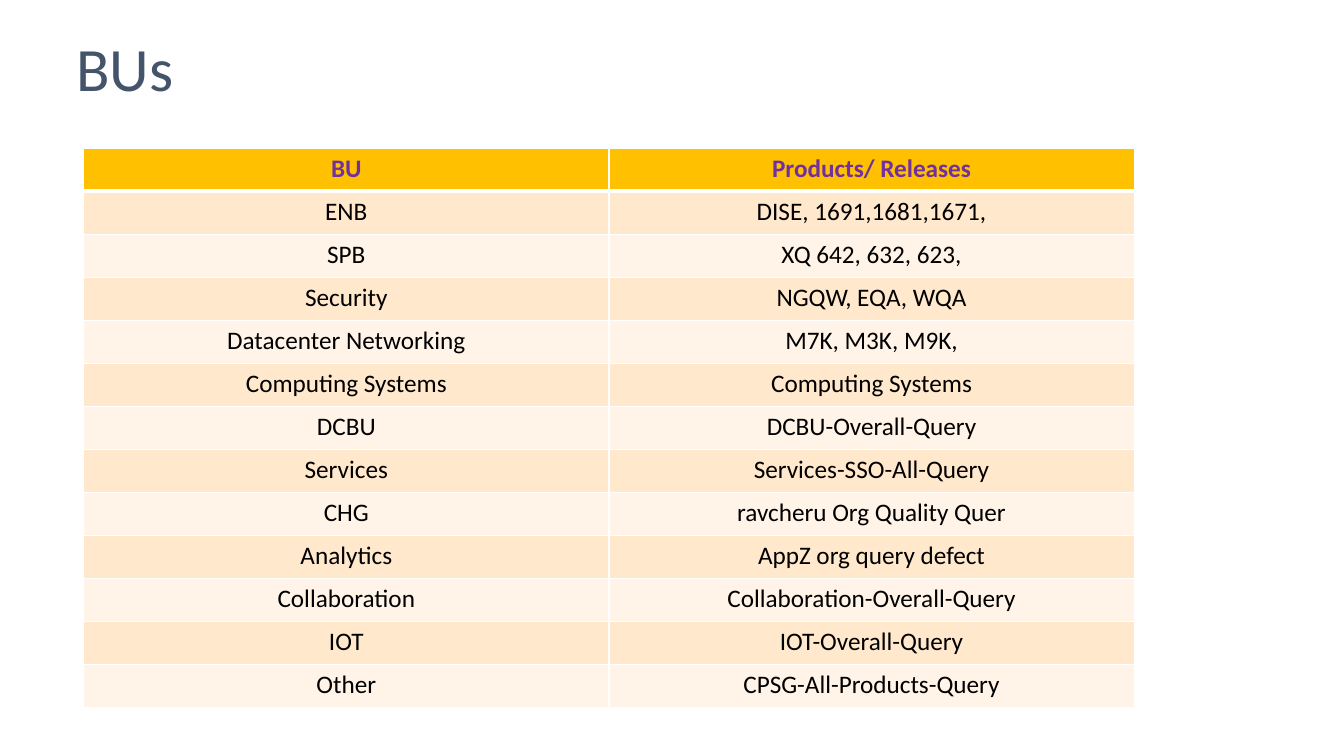
from lxml import etree
from pptx import Presentation
from pptx.dml import color
from pptx.enum import text
from pptx.oxml import ns
from pptx.util import Inches, Pt

TITLE = "BUs"
ROWS = [
    ("BU", "Products/ Releases"),
    ("ENB", "DISE, 1691,1681,1671,"),
    ("SPB", "XQ 642, 632, 623,"),
    ("Security", "NGQW, EQA, WQA"),
    ("Datacenter Networking", "M7K, M3K, M9K,"),
    ("Computing Systems", "Computing Systems"),
    ("DCBU", "DCBU-Overall-Query"),
    ("Services", "Services-SSO-All-Query"),
    ("CHG", "ravcheru Org Quality Quer"),
    ("Analytics", "AppZ org query defect"),
    ("Collaboration", "Collaboration-Overall-Query"),
    ("IOT", "IOT-Overall-Query"),
    ("Other", "CPSG-All-Products-Query"),
]
HEAD = "FFC000"
BANDS = ("FFF4E7", "FFE8CC")
LEFT, TOP, WIDTH, HEIGHT = 0.83, 1.47, 10.42, 5.55


def paint(target, tone):
    target.rgb = color.RGBColor.from_string(tone)


def style(para, size, tone, bold=False):
    for run in para.runs:
        run.font.name = "Calibri"
        run.font.size = Pt(size)
        run.font.bold = bold
        paint(run.font.color, tone)


def border(cell, widths):
    props = cell._tc.get_or_add_tcPr()
    for spot, (side, width) in enumerate(widths.items()):
        line = etree.Element(ns.qn("a:ln" + side), w=str(Pt(width)))
        fill = etree.SubElement(line, ns.qn("a:solidFill"))
        etree.SubElement(fill, ns.qn("a:srgbClr"), val="FFFFFF")
        props.insert(spot, line)


def main():
    deck = Presentation()
    deck.slide_width, deck.slide_height = Inches(13.33), Inches(7.5)
    slide = deck.slides.add_slide(deck.slide_layouts[6])

    title = slide.shapes.add_textbox(
        Inches(0.66), Inches(0.18), Inches(12.17), Inches(1.07))
    frame = title.text_frame
    frame.word_wrap = True
    frame.vertical_anchor = text.MSO_ANCHOR.MIDDLE
    frame.text = TITLE
    frame.paragraphs[0].line_spacing = 0.9
    style(frame.paragraphs[0], 44, "44546A")

    table = slide.shapes.add_table(
        len(ROWS), len(ROWS[0]), Inches(LEFT), Inches(TOP),
        Inches(WIDTH), Inches(HEIGHT)).table
    for r, row in enumerate(ROWS):
        head = r == 0
        for c, label in enumerate(row):
            cell = table.cell(r, c)
            cell.fill.solid()
            paint(cell.fill.fore_color, HEAD if head else BANDS[r % 2])
            border(cell, {"L": 1, "R": 1, "T": 3 if r == 1 else 1,
                          "B": 3 if head else 1})
            cell.text_frame.text = label
            para = cell.text_frame.paragraphs[0]
            para.alignment = text.PP_ALIGN.CENTER
            style(para, 18, "7030A0" if head else "000000", head)

    deck.save("out.pptx")


if __name__ == "__main__":
    main()
